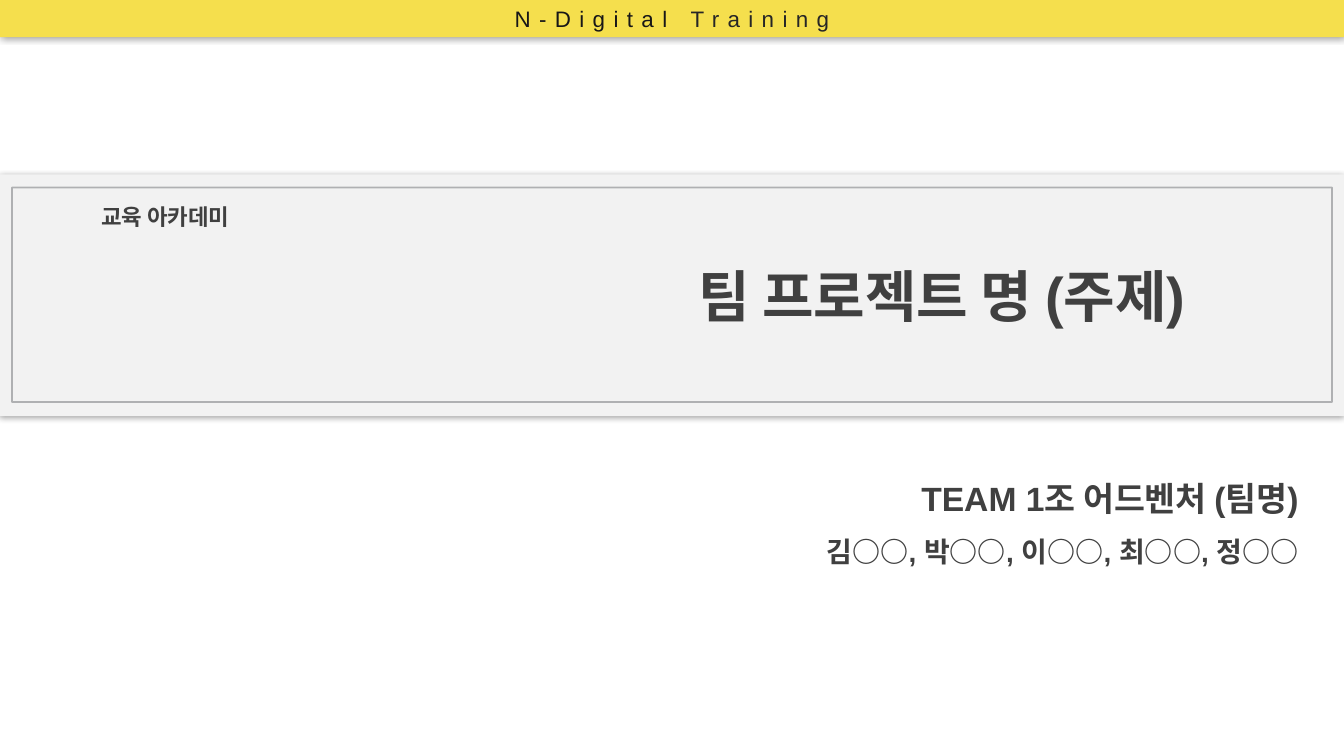
from lxml import etree
from pptx import Presentation
from pptx.dml.color import RGBColor
from pptx.enum import shapes, text
from pptx.oxml import ns
from pptx.util import Inches, Pt

HUES = {"gold": "F5DF4D", "band": "F2F2F2", "frame": "939597",
        "dark": "404040", "ink": "181717", "soft": "262626", "shade": "000000"}
SANS, KOREAN = "Arial", "Noto Sans CJK KR"
WIDE = 13.33


def hue(name):
    return RGBColor.from_string(HUES[name])


def sub(parent, tag, **attrs):
    return etree.SubElement(parent, ns.qn(tag), attrs)


def place(item, left, top, width, height):
    item.left, item.top = Inches(left), Inches(top)
    item.width, item.height = Inches(width), Inches(height)


def write(item, lines, font=SANS, color="dark", bold=True, align="CENTER",
          anchor="TOP", pad=0.05, lead=1.0, track=0):
    """Each line is a size and a list of (words, colour or None) runs."""
    frame = item.text_frame
    frame.word_wrap = True
    frame.auto_size = text.MSO_AUTO_SIZE.NONE
    frame.vertical_anchor = text.MSO_ANCHOR[anchor]
    frame.margin_left = frame.margin_right = Inches(0.1)
    frame.margin_top = frame.margin_bottom = Inches(pad)
    for i, (size, runs) in enumerate(lines):
        para = frame.add_paragraph() if i else frame.paragraphs[0]
        para.alignment = text.PP_ALIGN[align]
        para.line_spacing = lead
        para.space_before = Pt(0)
        for words, tint in runs:
            run = para.add_run()
            run.text = words
            run.font.name, run.font.size, run.font.bold = font, Pt(size), bold
            run.font.color.rgb = hue(tint or color)
            props = run.font._element
            if track:
                props.set("spc", str(track * 100))
            east = etree.Element(ns.qn("a:ea"), typeface=KOREAN)
            props.find(ns.qn("a:latin")).addnext(east)


def panel(slide, box, fill=None, line=None):
    """Filled panels cast a soft shadow; outlined ones are see-through."""
    item = slide.shapes.add_shape(shapes.MSO_SHAPE.RECTANGLE, *map(Inches, box))
    item.shadow.inherit = False
    if fill:
        item.fill.solid()
        item.fill.fore_color.rgb = hue(fill)
        effects = item._element.spPr.find(ns.qn("a:effectLst"))
        glow = sub(effects, "a:outerShdw", blurRad=str(Pt(5)), dist="0",
                   dir="0", algn="ctr", rotWithShape="0")
        shade = sub(glow, "a:srgbClr", val=HUES["shade"])
        sub(shade, "a:alpha", val="40000")
    else:
        item.fill.background()
    if line:
        item.line.color.rgb = hue(line)
        item.line.width = Pt(1.25)
        tint = item.line._ln.find(".//" + ns.qn("a:srgbClr"))
        sub(tint, "a:alpha", val="70000")
    else:
        item.line.fill.background()
    return item


def main():
    deck = Presentation()
    deck.slide_width, deck.slide_height = Inches(WIDE), Inches(7.5)
    slide = deck.slides.add_slide(deck.slide_layouts[0])
    title, team = slide.placeholders

    # Team name and members
    place(team, 7.34, 4.54, 5.64, 1.11)
    write(team, [(24, [("TEAM 1조 어드벤처 (팀명)", None)]),
                 (20, [("김○○, 박○○, 이○○, 최○○, 정○○", None)])],
          align="RIGHT", pad=0, lead=1.5)

    # Title band with the academy name
    panel(slide, (0, 1.73, WIDE, 2.4), fill="band")
    school = slide.shapes.add_textbox(*map(Inches, (0.2, 1.97, 2.88, 0.37)))
    write(school, [(16, [("교육 아카데미", None)])], font=KOREAN)

    # Project title, raised above the band
    place(title, 5.64, 2.59, 7.4, 0.67)
    write(title, [(40, [("팀 프로젝트 명 (주제)", None)])], pad=0)
    slide.shapes._spTree.append(title._element)

    # Programme strip
    strip = panel(slide, (0, 0, WIDE, 0.37), fill="gold")
    write(strip, [(16, [("N-Digital ", "ink"), ("Training", "soft")])],
          bold=False, anchor="MIDDLE", track=6)

    # Inner frame of the band
    panel(slide, (0.12, 1.86, 13.09, 2.13), line="frame")
    deck.save("out.pptx")


if __name__ == "__main__":
    main()
